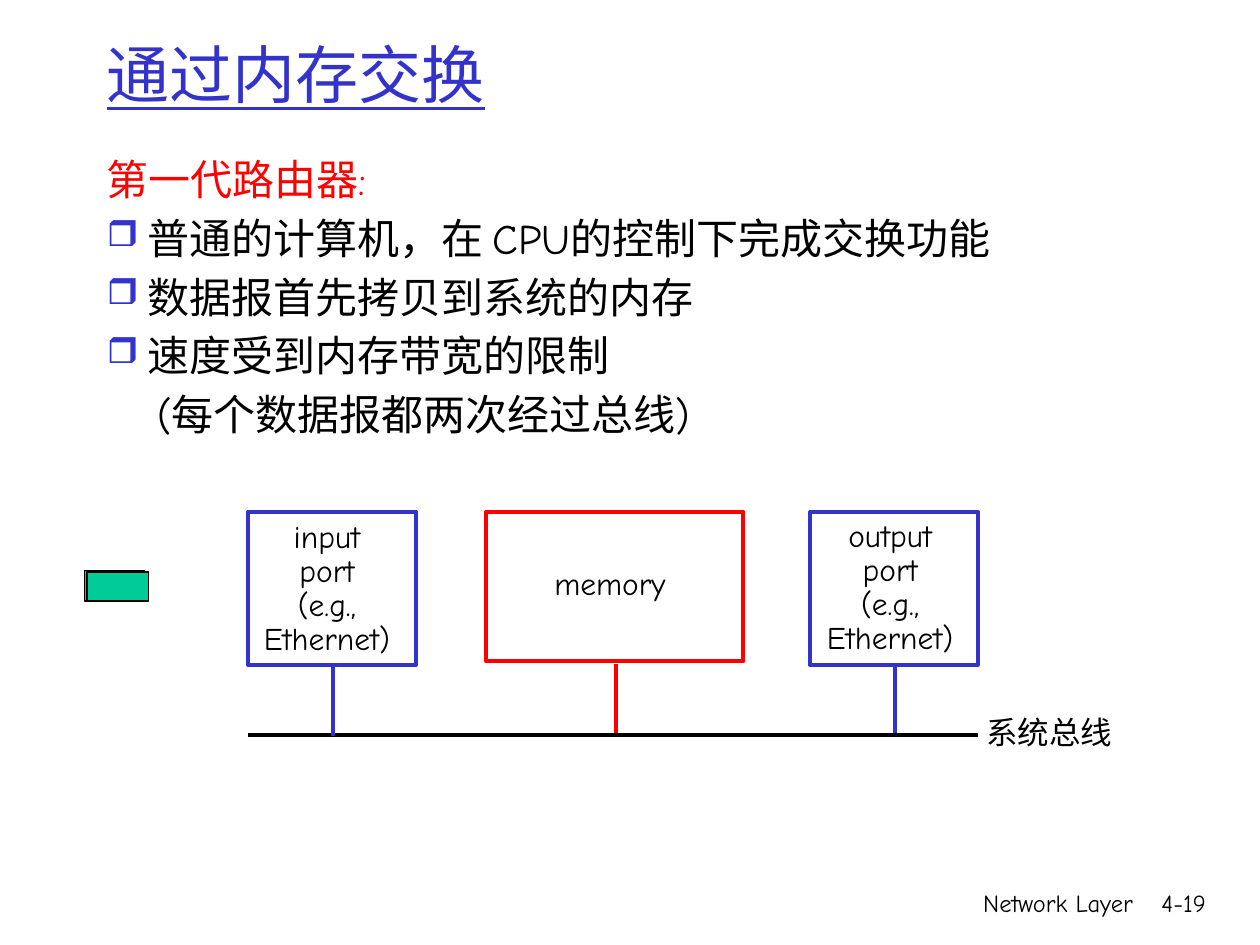
from lxml import etree
from pptx import Presentation
from pptx import util as u
from pptx.dml.color import RGBColor
from pptx.enum import shapes, text
from pptx.oxml.ns import qn

FONT = "Comic Neue"
BLUE, RED, BLACK, WHITE, GREEN = "3333CC", "FF0000", "000000", "FFFFFF", "00CC99"
LEFT, CENTER, RIGHT = text.PP_ALIGN.LEFT, text.PP_ALIGN.CENTER, text.PP_ALIGN.RIGHT


def color(value):
    return RGBColor.from_string(value)


def add_text(box, lines, size, align=LEFT, wrap=True, spacing=None):
    """Add a text box holding one paragraph per (words, colour) pair."""
    shape = slide.shapes.add_textbox(*map(u.Inches, box))
    frame = shape.text_frame
    frame.word_wrap = wrap
    for index, (words, tint) in enumerate(lines):
        paragraph = frame.add_paragraph() if index else frame.paragraphs[0]
        paragraph.alignment = align
        paragraph.line_spacing = spacing
        run = paragraph.add_run()
        run.text = words
        run.font.name = FONT
        run.font.size = u.Pt(size)
        run.font.color.rgb = color(tint)
    return frame


presentation = Presentation()
presentation.slide_width = u.Inches(10)
presentation.slide_height = u.Inches(7.5)
slide = presentation.slides.add_slide(presentation.slide_layouts[6])

# Footer, title and body
add_text((5.92, 7, 3.17, 0.5), [("Network Layer", BLACK)], 14, RIGHT)
add_text((8.93, 7, 0.74, 0.5), [("4-19", BLACK)], 14, RIGHT)

title = add_text((0.75, 0.25, 8.5, 0.67), [("通过内存交换", BLUE)], 36)
title.vertical_anchor = text.MSO_ANCHOR.MIDDLE
title.paragraphs[0].runs[0].font.underline = True

body = add_text((0.75, 1.17, 8.58, 1.17), [
    ("第一代路由器:", RED),
    ("普通的计算机，在 CPU的控制下完成交换功能", BLACK),
    ("数据报首先拷贝到系统的内存", BLACK),
    ("速度受到内存带宽的限制", BLACK),
    ("(每个数据报都两次经过总线)", BLACK),
], 24)
for paragraph in body.paragraphs[1:]:
    paragraph.space_before = u.Pt(4.8)
for paragraph in body.paragraphs[1:4]:
    properties = paragraph._p.get_or_add_pPr()
    properties.set("marL", str(u.Inches(0.32)))
    properties.set("indent", str(-u.Inches(0.32)))
    bullet_color = etree.SubElement(properties, qn("a:buClr"))
    etree.SubElement(bullet_color, qn("a:srgbClr"), val=BLUE)
    etree.SubElement(properties, qn("a:buSzPct"), val="85000")
    etree.SubElement(properties, qn("a:buChar"), char="❒")
body.paragraphs[4]._p.get_or_add_pPr().set("marL", str(u.Inches(0.4)))

# Ports, memory and the two stacked datagrams
for box, fill, outline, width in [
    ((1.97, 4.06, 1.33, 1.22), WHITE, BLUE, 2.25),
    ((3.86, 4.06, 2.04, 1.19), None, RED, 2.25),
    ((6.43, 4.06, 1.33, 1.22), WHITE, BLUE, 2.25),
    ((0.67, 4.53, 0.48, 0.24), GREEN, BLACK, 0.75),
    ((0.69, 4.54, 0.49, 0.23), GREEN, BLACK, 0.75),
]:
    shape = slide.shapes.add_shape(shapes.MSO_SHAPE.RECTANGLE, *map(u.Inches, box))
    shape.shadow.inherit = False
    if fill:
        shape.fill.solid()
        shape.fill.fore_color.rgb = color(fill)
    else:
        shape.fill.background()
    shape.line.color.rgb = color(outline)
    shape.line.width = u.Pt(width)

for box, words in [
    ((1.98, 4.09, 1.23, 1.18), ["input", "port", "(e.g.,", "Ethernet)"]),
    ((4.29, 4.46, 1.1, 0.37), ["memory"]),
    ((6.45, 4.08, 1.23, 1.18), ["output", "port", "(e.g.,", "Ethernet)"]),
]:
    add_text(box, [(line, BLACK) for line in words], 18, CENTER, False, 0.9)

# System bus and the links down to it
for start_x, start_y, end_x, end_y, tint in [
    (1.97, 5.83, 7.76, 5.83, BLACK),
    (2.64, 5.29, 2.64, 5.84, BLUE),
    (7.1, 5.28, 7.1, 5.82, BLUE),
    (4.89, 5.27, 4.89, 5.82, RED),
]:
    line = slide.shapes.add_connector(
        shapes.MSO_CONNECTOR.STRAIGHT,
        *map(u.Inches, (start_x, start_y, end_x, end_y)))
    line.line.color.rgb = color(tint)
    line.line.width = u.Pt(2.25)
    etree.SubElement(line._element.spPr, qn("a:effectLst"))

add_text((7.73, 5.61, 1.21, 0.4), [("系统总线", BLACK)], 18, wrap=False)

presentation.save("out.pptx")
